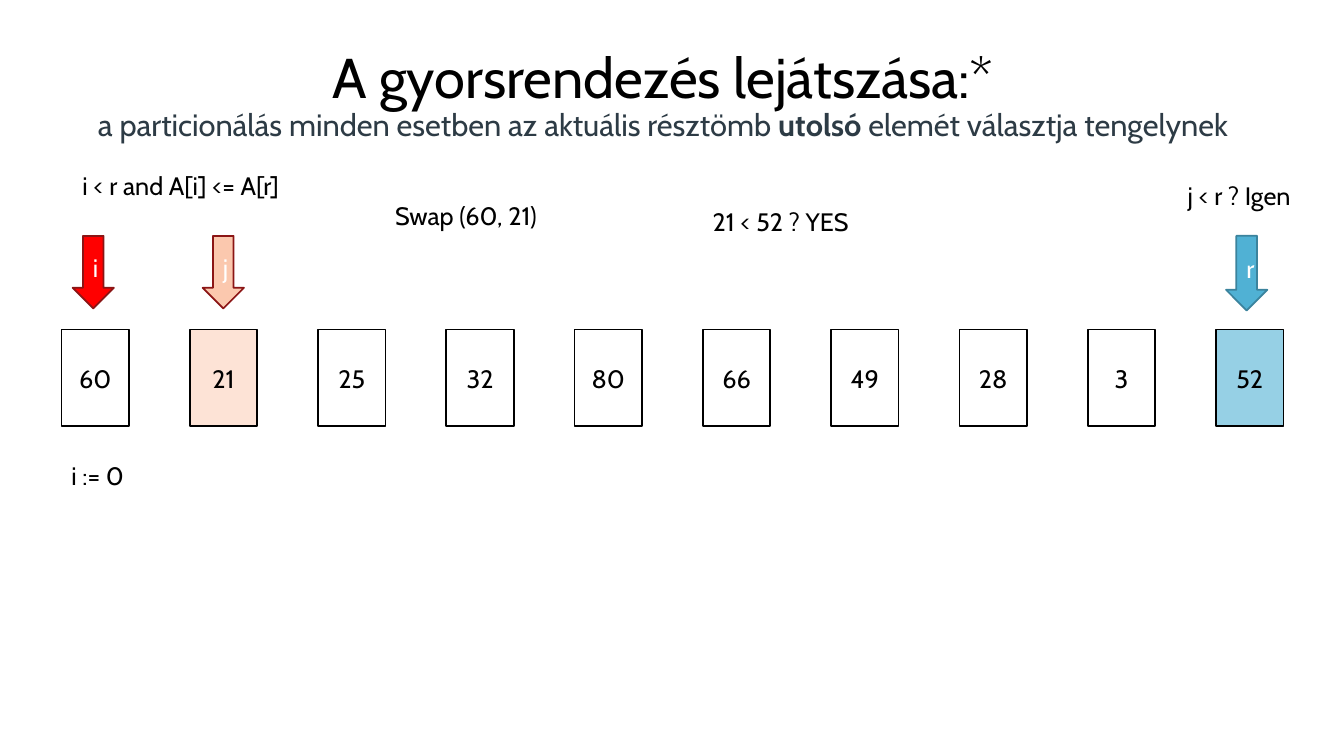
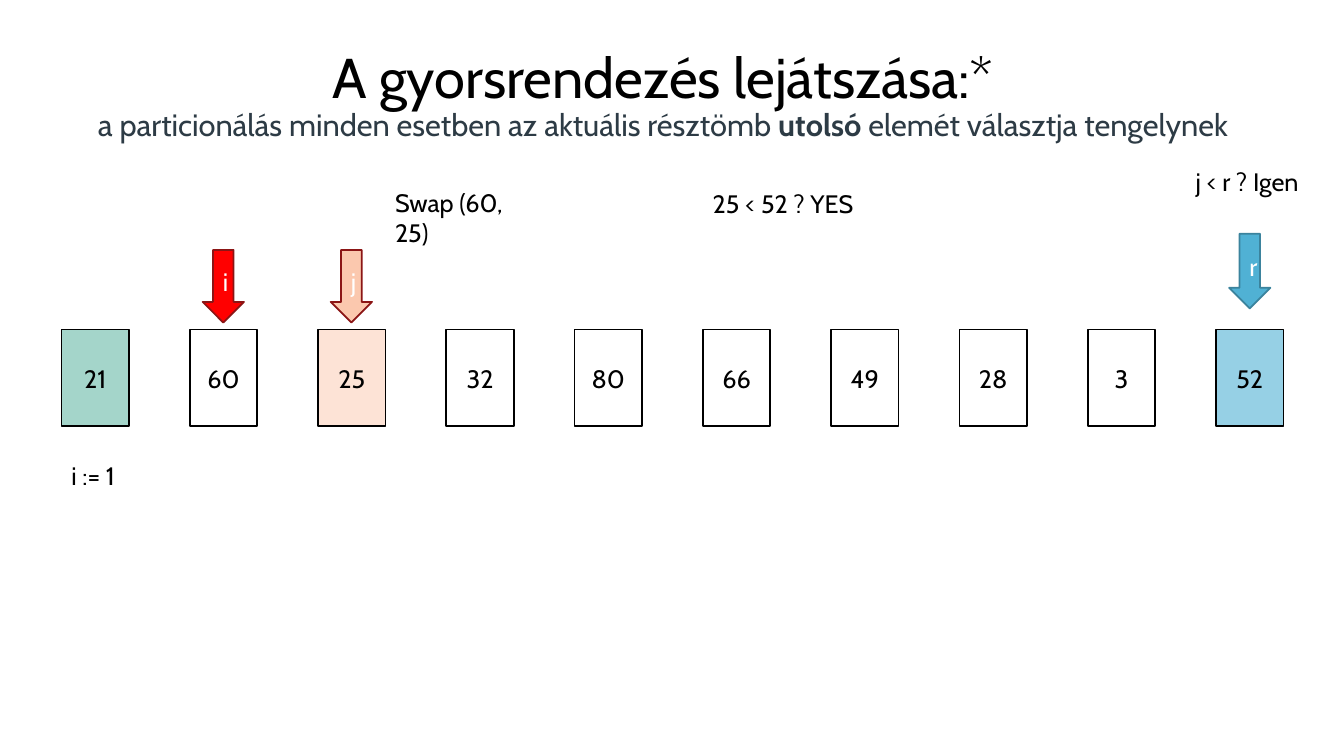
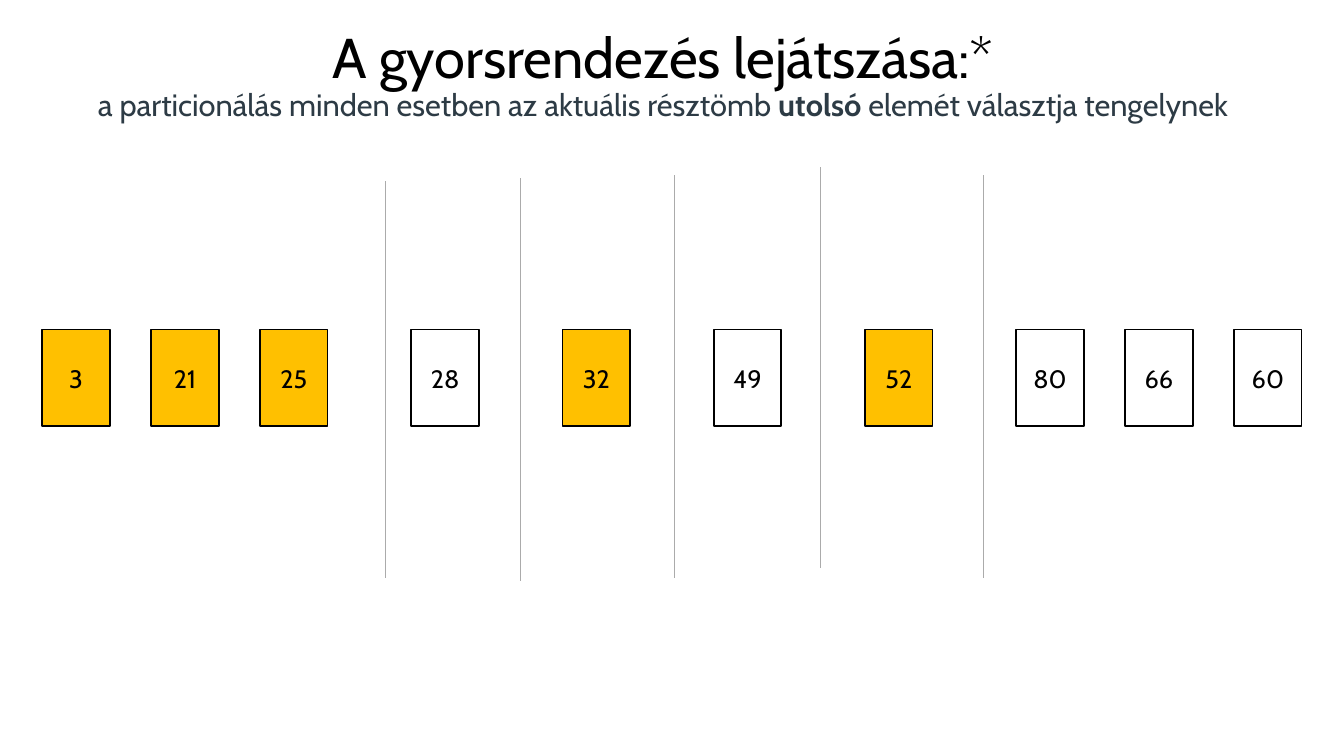
from dataclasses import dataclass

from pptx import Presentation
from pptx.dml.color import RGBColor
from pptx.enum.shapes import MSO_CONNECTOR, MSO_SHAPE
from pptx.enum.text import MSO_ANCHOR, MSO_AUTO_SIZE, PP_ALIGN
from pptx.oxml.ns import qn
from pptx.util import Inches, Pt


@dataclass(frozen=True)
class Theme:
    font: str = "Cabin"
    title_size: int = 40
    subtitle_size: int = 22
    body_size: int = 18
    outline: float = 1.25
    divider_width: float = 0.75
    black: str = "000000"
    white: str = "FFFFFF"
    subtitle: str = "2D3B45"
    divider: str = "ABABAB"
    current: str = "FDE3D6"
    pivot: str = "96D0E5"
    smaller: str = "A4D5CA"
    settled: str = "FFC000"


THEME = Theme()

# Fill and outline of each index arrow
ARROW_COLORS = {
    "i": ("FF0000", "8B1515"),
    "j": ("FBC8AE", "8B1515"),
    "r": ("50B1D4", "3B839D"),
}
ARROW_WIDTH = 0.41
CELL_TOP, CELL_WIDTH, CELL_HEIGHT = 3.27, 0.67, 0.96
ARRAY_LEFT, ARRAY_RIGHT = 0.61, 12.73
GROUPS_LEFT, STEP_IN_GROUP, STEP_TO_NEXT_GROUP = 0.42, 1.08, 1.5


def color(value):
    return RGBColor.from_string(value)


def add_run(paragraph, text, size=THEME.body_size, text_color=THEME.black, bold=False):
    run = paragraph.add_run()
    run.text = text
    formats = {"name": THEME.font, "size": Pt(size), "bold": bold}
    for attribute, value in formats.items():
        setattr(run.font, attribute, value)
    run.font.color.rgb = color(text_color)


def add_text_box(slide, left, top, width, height):
    """Add a wrapping text box and return its text frame."""
    box = slide.shapes.add_textbox(Inches(left), Inches(top), Inches(width), Inches(height))
    box.text_frame.word_wrap = True
    return box.text_frame


def add_title(slide, top=0.18):
    frame = add_text_box(slide, 0.63, top, 11.89, 1.56)
    frame.vertical_anchor = MSO_ANCHOR.MIDDLE
    paragraph = frame.paragraphs[0]
    paragraph.alignment = PP_ALIGN.CENTER
    paragraph.line_spacing = 0.9
    add_run(paragraph, "A gyorsrendezés lejátszása:*", THEME.title_size)
    paragraph.add_line_break()
    for text, bold in (
        ("a particionálás minden esetben az aktuális résztömb ", False),
        ("utolsó", True),
        (" elemét választja tengelynek", False),
    ):
        add_run(paragraph, text, THEME.subtitle_size, THEME.subtitle, bold)


def add_label(slide, text, left, top, width):
    frame = add_text_box(slide, left, top, width, 0.4)
    frame.auto_size = MSO_AUTO_SIZE.SHAPE_TO_FIT_TEXT
    add_run(frame.paragraphs[0], text)


def add_box(slide, preset, bounds, text, fill, line, text_color):
    shape = slide.shapes.add_shape(preset, *map(Inches, bounds))
    shape.shadow.inherit = False
    shape.fill.solid()
    shape.fill.fore_color.rgb = color(fill)
    shape.line.color.rgb = color(line)
    shape.line.width = Pt(THEME.outline)
    shape.text_frame.vertical_anchor = MSO_ANCHOR.MIDDLE
    paragraph = shape.text_frame.paragraphs[0]
    paragraph.alignment = PP_ALIGN.CENTER
    add_run(paragraph, text, text_color=text_color)


def add_cell(slide, number, left, fill):
    bounds = (left, CELL_TOP, CELL_WIDTH, CELL_HEIGHT)
    add_box(slide, MSO_SHAPE.RECTANGLE, bounds, str(number), fill, THEME.black, THEME.black)


def add_array(slide, numbers, fills):
    """Spread the numbers evenly; fills maps a number to its cell colour."""
    step = (ARRAY_RIGHT - CELL_WIDTH - ARRAY_LEFT) / (len(numbers) - 1)
    for index, number in enumerate(numbers):
        add_cell(slide, number, ARRAY_LEFT + index * step, fills.get(number, THEME.white))


def add_groups(slide, groups, settled):
    left = GROUPS_LEFT
    for group in groups:
        for index, number in enumerate(group):
            fill = THEME.settled if number in settled else THEME.white
            add_cell(slide, number, left + index * STEP_IN_GROUP, fill)
        left += (len(group) - 1) * STEP_IN_GROUP + STEP_TO_NEXT_GROUP


def add_index_arrow(slide, name, left, top, height=0.72):
    bounds = (left, top, ARROW_WIDTH, height)
    add_box(slide, MSO_SHAPE.DOWN_ARROW, bounds, name, *ARROW_COLORS[name], THEME.white)


def add_divider(slide, x, top, bottom):
    line = slide.shapes.add_connector(
        MSO_CONNECTOR.STRAIGHT, Inches(x), Inches(top), Inches(x), Inches(bottom)
    )
    line.line.color.rgb = color(THEME.divider)
    line.line.width = Pt(THEME.divider_width)
    properties = line._element.spPr
    properties.append(properties.makeelement(qn("a:effectLst"), {}))


def add_partition_step(slide, numbers, fills, arrows, labels):
    add_array(slide, numbers, fills)
    for arrow in arrows:
        add_index_arrow(slide, *arrow)
    for label in labels:
        add_label(slide, *label)
    add_title(slide)


def add_first_swap(slide):
    add_partition_step(
        slide,
        [60, 21, 25, 32, 80, 66, 49, 28, 3, 52],
        {21: THEME.current, 52: THEME.pivot},
        [("r", 12.16, 2.34, 0.74), ("i", 0.72, 2.34), ("j", 2.01, 2.34)],
        [
            ("i := 0", 0.61, 4.52, 1.61),
            ("21 < 52 ? YES", 6.97, 2, 2.26),
            ("Swap (60, 21)", 3.82, 1.94, 1.64),
            ("i < r and A[i] <= A[r]", 0.72, 1.64, 2.43),
            ("j < r ? Igen", 11.68, 1.74, 1.44),
        ],
    )


def add_second_swap(slide):
    add_partition_step(
        slide,
        [21, 60, 25, 32, 80, 66, 49, 28, 3, 52],
        {21: THEME.smaller, 25: THEME.current, 52: THEME.pivot},
        [("r", 12.19, 2.32, 0.74), ("i", 2.01, 2.48), ("j", 3.28, 2.48)],
        [
            ("Swap (60, 25)", 3.82, 1.81, 1.64),
            ("i := 1", 0.61, 4.52, 1.61),
            ("25 < 52 ? YES", 6.97, 1.82, 2.26),
            ("j < r ? Igen", 11.76, 1.6, 1.44),
        ],
    )


def add_subarrays(slide):
    groups = [[3, 21, 25], [28], [32], [49], [52], [80, 66, 60]]
    add_groups(slide, groups, settled={3, 21, 25, 32, 52})
    for divider in (
        (3.82, 1.8, 5.73),
        (5.16, 1.77, 5.76),
        (6.69, 1.74, 5.73),
        (8.14, 1.66, 5.64),
        (9.75, 1.74, 5.73),
    ):
        add_divider(slide, *divider)
    add_title(slide, top=-0.02)


def main():
    presentation = Presentation()
    presentation.slide_width = Inches(13.33)
    presentation.slide_height = Inches(7.5)
    blank_layout = presentation.slide_layouts[6]
    for build in (add_first_swap, add_second_swap, add_subarrays):
        build(presentation.slides.add_slide(blank_layout))
    presentation.save("out.pptx")


if __name__ == "__main__":
    main()
